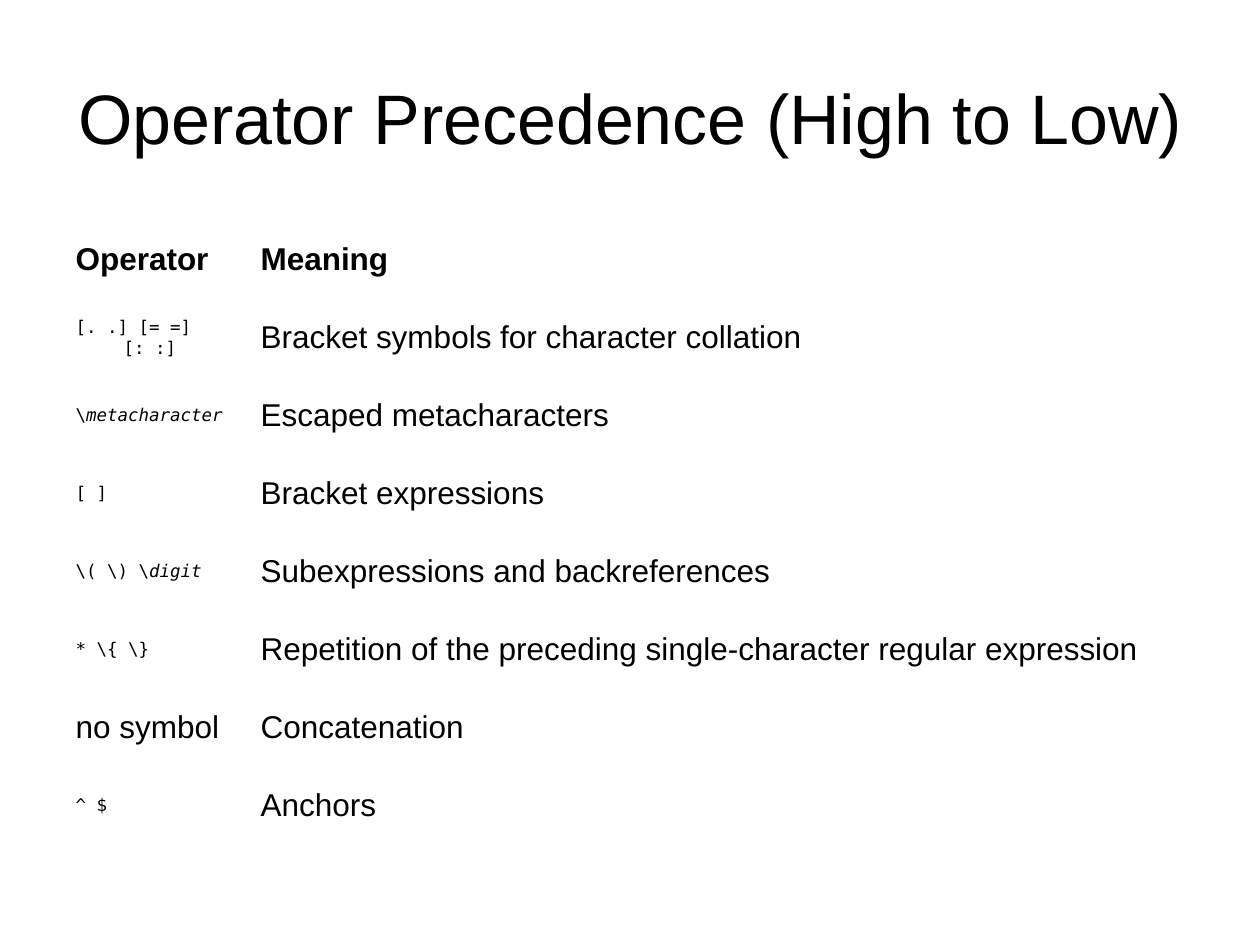
from pptx import Presentation
from pptx.dml.color import RGBColor
from pptx.enum.text import MSO_ANCHOR, MSO_AUTO_SIZE, PP_ALIGN
from pptx.util import Emu, Pt

TITLE = "Operator Precedence (High to Low)"
HEADINGS = ("Operator", "Meaning")
# Each operator is (plain code, italic code); a bare string is ordinary text.
OPERATORS = [
    (("[. .] [= =] [: :]", ""), "Bracket symbols for character collation"),
    (("\\", "metacharacter"), "Escaped metacharacters"),
    (("[ ]", ""), "Bracket expressions"),
    (("\\( \\) \\", "digit"), "Subexpressions and backreferences"),
    (("* \\{ \\}", ""), "Repetition of the preceding single-character regular expression"),
    ("no symbol", "Concatenation"),
    (("^ $", ""), "Anchors"),
]
COLORS = {"text": "000000", "background": "FFFFFF"}
TEXT_FONT, CODE_FONT = "Arial", "DejaVu Sans Mono"
SCALE = 914400 // 126
LEFT, TITLE_TOP, TITLE_HEIGHT, TABLE_TOP = 63, 38, 157, 221
COLUMN_WIDTHS, ROW_HEIGHT, INDENT = (185, 949), 78, 48


def px(pixels):
    """Turn picture pixels into EMU."""
    return Emu(pixels * SCALE)


def style(paragraph, size, name=TEXT_FONT, bold=False):
    """Set the font shared by all runs of a paragraph."""
    font = paragraph.font
    font.size, font.name, font.bold = Pt(size), name, bold
    font.color.rgb = RGBColor.from_string(COLORS["text"])


def fill_cell(cell, content, bold=False):
    """Write ordinary text or code into a table cell with a hanging indent."""
    cell.fill.background()
    cell.vertical_anchor = MSO_ANCHOR.MIDDLE
    paragraph = cell.text_frame.paragraphs[0]
    properties = paragraph._p.get_or_add_pPr()
    properties.set("marL", str(px(INDENT)))
    properties.set("indent", str(-px(INDENT)))
    if isinstance(content, str):
        paragraph.add_run().text = content
        style(paragraph, 18, bold=bold)
        return
    for text, italic in zip(content, (False, True)):
        if text:
            run = paragraph.add_run()
            run.text = text
            run.font.italic = italic
    style(paragraph, 10, CODE_FONT)


def add_title(slide):
    """Place and format the title placeholder."""
    title = slide.shapes.title
    title.left, title.top = px(LEFT), px(TITLE_TOP)
    title.width, title.height = px(sum(COLUMN_WIDTHS)), px(TITLE_HEIGHT)
    frame = title.text_frame
    frame.text = TITLE
    frame.auto_size = MSO_AUTO_SIZE.NONE
    frame.vertical_anchor = MSO_ANCHOR.MIDDLE
    frame.paragraphs[0].alignment = PP_ALIGN.CENTER
    style(frame.paragraphs[0], 40)


def add_operator_table(slide):
    """Add the table of operators and their meanings."""
    rows = [HEADINGS, *OPERATORS]
    table = slide.shapes.add_table(
        len(rows), len(HEADINGS), px(LEFT), px(TABLE_TOP),
        px(sum(COLUMN_WIDTHS)), px(ROW_HEIGHT * len(rows))).table
    table.first_row = table.horz_banding = False
    for column, width in zip(table.columns, COLUMN_WIDTHS):
        column.width = px(width)
    for row_index, row in enumerate(rows):
        table.rows[row_index].height = px(ROW_HEIGHT)
        for column_index, content in enumerate(row):
            fill_cell(table.cell(row_index, column_index), content, bold=row_index == 0)


presentation = Presentation()
presentation.slide_width, presentation.slide_height = px(1260), px(945)
slide = presentation.slides.add_slide(presentation.slide_layouts[5])
slide.background.fill.solid()
slide.background.fill.fore_color.rgb = RGBColor.from_string(COLORS["background"])
add_title(slide)
add_operator_table(slide)
presentation.save("out.pptx")
